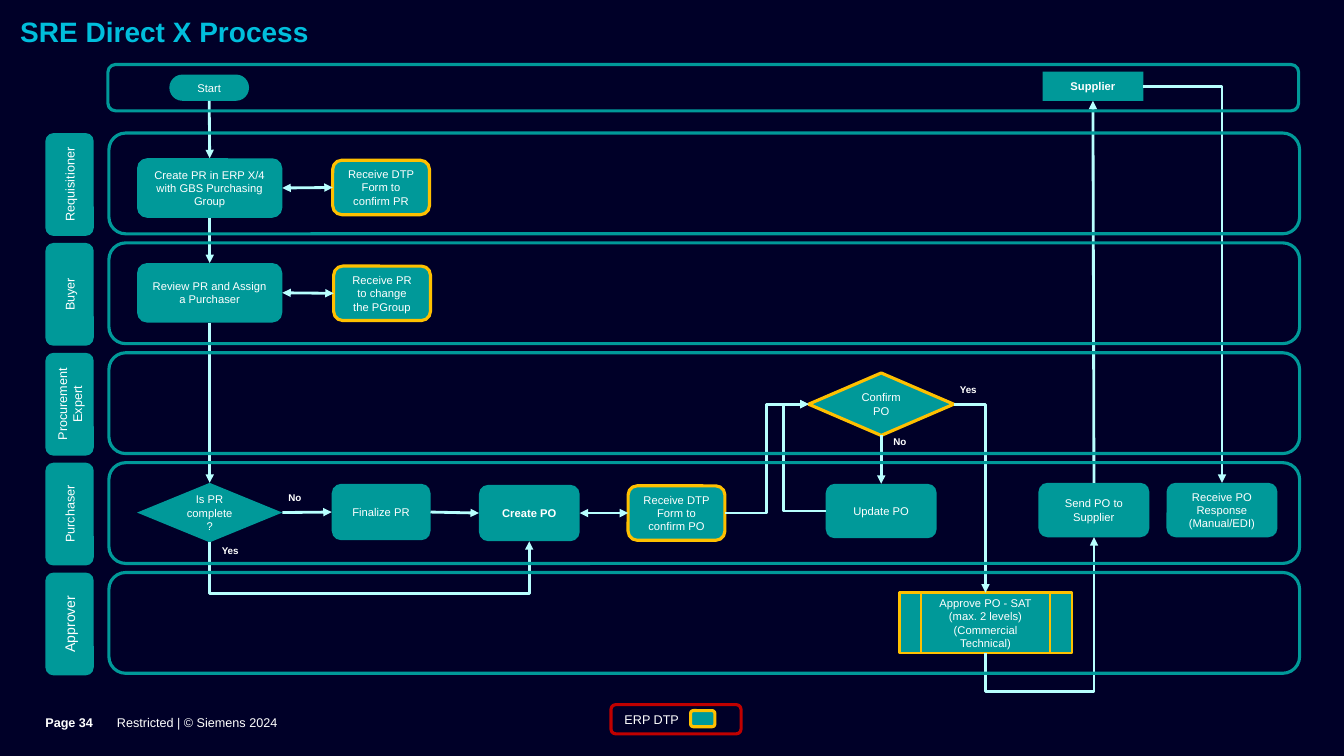
from dataclasses import dataclass
from typing import Optional

from lxml import etree
from pptx import Presentation
from pptx.dml.color import RGBColor
from pptx.enum.shapes import MSO_CONNECTOR, MSO_SHAPE
from pptx.enum.text import MSO_ANCHOR, PP_ALIGN
from pptx.oxml.ns import qn
from pptx.util import Inches, Pt

RECTANGLE = MSO_SHAPE.RECTANGLE
ROUNDED = MSO_SHAPE.ROUNDED_RECTANGLE
PROCESS = MSO_SHAPE.FLOWCHART_ALTERNATE_PROCESS
DECISION = MSO_SHAPE.FLOWCHART_DECISION
TERMINATOR = MSO_SHAPE.FLOWCHART_TERMINATOR
SUBPROCESS = MSO_SHAPE.FLOWCHART_PREDEFINED_PROCESS
STRAIGHT, ELBOW = MSO_CONNECTOR.STRAIGHT, MSO_CONNECTOR.ELBOW
TOP, LEFT, BOTTOM, RIGHT = range(4)
CENTER, ALIGN_LEFT = PP_ALIGN.CENTER, PP_ALIGN.LEFT
MIDDLE, ANCHOR_TOP = MSO_ANCHOR.MIDDLE, MSO_ANCHOR.TOP


@dataclass(frozen=True)
class Theme:
    font: str = "Arial"
    background: str = "000028"
    title: str = "00BEDC"
    text: str = "FFFFFF"
    teal: str = "009999"
    amber: str = "FFC000"
    red: str = "C00000"
    arrow: str = "B8FFFF"
    title_size: float = 20
    lane_size: float = 9
    approver_size: float = 10
    step_size: float = 8
    branch_size: float = 7
    outline: float = 2.25
    thin_outline: float = 1.75
    arrow_width: float = 2


THEME = Theme()


@dataclass(frozen=True)
class Box:
    left: float
    top: float
    width: float
    height: float
    text: str = ""
    kind: MSO_SHAPE = PROCESS
    fill: Optional[str] = THEME.teal
    line: Optional[str] = None
    line_width: float = THEME.outline
    size: float = THEME.step_size
    bold: bool = False
    align: PP_ALIGN = CENTER
    rotation: float = 0
    insets: tuple[float, ...] = (0.12, 0.08, 0.12, 0.08)


@dataclass(frozen=True)
class Label:
    left: float
    top: float
    width: float
    height: float
    text: str
    size: float
    bold: bool = True
    color: str = THEME.text
    insets: tuple[float, ...] = (0, 0, 0, 0)
    anchor: MSO_ANCHOR = ANCHOR_TOP
    wrap: bool = True
    line_spacing: Optional[float] = None


@dataclass(frozen=True)
class Flow:
    begin: str
    begin_side: int
    end: str
    end_side: int
    elbow: bool = False
    bend: Optional[float] = None  # where the middle leg runs; None gives one corner
    two_way: bool = False


# Steps; an amber outline marks those on the platform
STEPS = {
    "start": Box(1.68, 0.74, 0.79, 0.26, "Start", TERMINATOR),
    "supplier": Box(10.34, 0.71, 1, 0.29, "Supplier", RECTANGLE, bold=True),
    "create_pr": Box(1.36, 1.57, 1.44, 0.59, "Create PR in ERP X/4 with GBS Purchasing Group"),
    "confirm_pr": Box(3.3, 1.59, 0.96, 0.54, "Receive DTP Form to confirm PR", line=THEME.amber),
    "review_pr": Box(1.36, 2.61, 1.44, 0.59, "Review PR and Assign a Purchaser"),
    "change_group": Box(3.31, 2.64, 0.96, 0.54, "Receive PR to change the PGroup", line=THEME.amber),
    "pr_complete": Box(1.36, 4.79, 1.44, 0.59, "Is PR complete?", DECISION),
    "finalize_pr": Box(3.29, 4.8, 0.98, 0.56, "Finalize PR"),
    "create_po": Box(4.75, 4.81, 1, 0.56, "Create PO", bold=True),
    "po_form": Box(6.23, 4.82, 0.96, 0.54, "Receive DTP Form to confirm PO", line=THEME.amber),
    "confirm_po": Box(8.02, 3.7, 1.44, 0.62, "Confirm PO", DECISION, line=THEME.amber),
    "update_po": Box(8.19, 4.8, 1.1, 0.54, "Update PO"),
    "approve_po": Box(8.92, 5.88, 1.71, 0.6,
                      "Approve PO - SAT\n(max. 2 levels)\n(Commercial\nTechnical)", SUBPROCESS,
                      line=THEME.amber, line_width=THEME.thin_outline, insets=(0.1, 0.05, 0.1, 0.05)),
    "send_po": Box(10.3, 4.79, 1.1, 0.54, "Send PO to Supplier"),
    "response": Box(11.57, 4.79, 1.1, 0.54, "Receive PO Response\n(Manual/EDI)"),
}

FLOWS = [
    Flow("start", BOTTOM, "create_pr", TOP),
    Flow("create_pr", BOTTOM, "review_pr", TOP),
    Flow("review_pr", BOTTOM, "pr_complete", TOP),
    Flow("create_pr", RIGHT, "confirm_pr", LEFT, two_way=True),
    Flow("review_pr", RIGHT, "change_group", LEFT, two_way=True),
    Flow("pr_complete", RIGHT, "finalize_pr", LEFT),
    Flow("pr_complete", BOTTOM, "create_po", BOTTOM, True, 5.9),
    Flow("finalize_pr", RIGHT, "create_po", LEFT),
    Flow("create_po", RIGHT, "po_form", LEFT, two_way=True),
    Flow("po_form", RIGHT, "confirm_po", LEFT, True, 7.6),
    Flow("confirm_po", BOTTOM, "update_po", TOP),
    Flow("update_po", LEFT, "confirm_po", LEFT, True, 7.77),
    Flow("confirm_po", RIGHT, "approve_po", TOP, True),
    Flow("approve_po", BOTTOM, "send_po", BOTTOM, True, 6.86),
    Flow("send_po", TOP, "supplier", BOTTOM),
    Flow("supplier", RIGHT, "response", TOP, True),
]

LANES = ["Requisitioner", "Buyer", "Procurement Expert", "Purchaser", "Approver"]
LANE_TOP, LANE_PITCH, LANE_HEIGHT = 1.32, 1.09, 1.0
FOOTER_INSETS = (0, 0, 0, 0.07)

LABELS = [
    Label(0.2, 0.18, 10.79, 0.32, "SRE Direct X Process", THEME.title_size, color=THEME.title,
          insets=(0, 0, 0.35, 0.02), line_spacing=0.9),
    Label(0.45, 6.9, 0.71, 0.6, "Page 34", THEME.lane_size, insets=FOOTER_INSETS, anchor=MIDDLE),
    Label(1.16, 6.9, 1.78, 0.6, "Restricted | © Siemens 2024", THEME.lane_size, False,
          insets=FOOTER_INSETS, anchor=MIDDLE),
] + [
    Label(left, top, 0.17, 0.12, text, THEME.branch_size, wrap=False)
    for left, top, text in [(2.86, 4.88, "No"), (2.2, 5.4, "Yes"), (8.86, 4.32, "No"), (9.52, 3.81, "Yes")]
]


def write_text(shape, item: Box | Label, color: str, align: PP_ALIGN, anchor: MSO_ANCHOR, wrap: bool) -> None:
    frame = shape.text_frame
    frame.word_wrap, frame.vertical_anchor = wrap, anchor
    frame.margin_left, frame.margin_top, frame.margin_right, frame.margin_bottom = map(Inches, item.insets)
    for index, line in enumerate(item.text.split("\n")):
        paragraph = frame.add_paragraph() if index else frame.paragraphs[0]
        paragraph.alignment = align
        if isinstance(item, Label) and item.line_spacing:
            paragraph.line_spacing = item.line_spacing
        run = paragraph.add_run()
        run.text = line
        run.font.name, run.font.size, run.font.bold = THEME.font, Pt(item.size), item.bold
        run.font.color.rgb = RGBColor.from_string(color)


def draw_box(slide, box: Box):
    shape = slide.shapes.add_shape(box.kind, *map(Inches, (box.left, box.top, box.width, box.height)))
    shape.shadow.inherit = False
    shape.rotation = box.rotation
    for paint, color in ((shape.fill, box.fill), (shape.line.fill, box.line)):
        if color:
            paint.solid()
            paint.fore_color.rgb = RGBColor.from_string(color)
        else:
            paint.background()
    if box.line:
        shape.line.width = Pt(box.line_width)
    if box.text:
        write_text(shape, box, THEME.text, box.align, MIDDLE, True)
    return shape


def draw_label(slide, label: Label) -> None:
    shape = slide.shapes.add_textbox(*map(Inches, (label.left, label.top, label.width, label.height)))
    write_text(shape, label, label.color, ALIGN_LEFT, label.anchor, label.wrap)


def bend_connector(connector, flow: Flow) -> None:
    """Turn, flip and bend an elbow so that it leaves its first side squarely."""
    x, y = connector.begin_x, connector.begin_y
    dx, dy = connector.end_x - x, connector.end_y - y
    vertical = flow.begin_side in (TOP, BOTTOM)
    along, across = (dy, -dx) if vertical else (dx, dy)
    width, height = abs(along), abs(across)
    connector.left, connector.top = x + (dx - width) // 2, y + (dy - height) // 2
    connector.width, connector.height = width, height
    properties = connector.element.spPr
    transform, geometry = properties.find(qn("a:xfrm")), properties.find(qn("a:prstGeom"))
    transform.set("rot", "5400000" if vertical else "0")
    transform.set("flipH", str(int(along < 0)))
    transform.set("flipV", str(int(across < 0)))
    if flow.bend is None:
        geometry.set("prst", "bentConnector2")
    else:
        ratio = (Inches(flow.bend) - (y if vertical else x)) / along
        etree.SubElement(geometry.find(qn("a:avLst")), qn("a:gd"), name="adj1", fmla=f"val {round(ratio * 100000)}")


def draw_flow(slide, flow: Flow, shapes: dict) -> None:
    connector = slide.shapes.add_connector(ELBOW if flow.elbow else STRAIGHT, 0, 0, 0, 0)
    connector.begin_connect(shapes[flow.begin], flow.begin_side)
    connector.end_connect(shapes[flow.end], flow.end_side)
    if flow.elbow:
        bend_connector(connector, flow)
    connector.line.color.rgb = RGBColor.from_string(THEME.arrow)
    connector.line.width = Pt(THEME.arrow_width)
    properties = connector.element.spPr
    for tag in ["a:headEnd", "a:tailEnd"] if flow.two_way else ["a:tailEnd"]:
        etree.SubElement(properties.find(qn("a:ln")), qn(tag), type="triangle")
    etree.SubElement(properties, qn("a:effectLst"))


def draw_lanes(slide) -> None:
    frame = {"kind": ROUNDED, "fill": None, "line": THEME.teal}
    draw_box(slide, Box(1.07, 0.64, 11.81, 0.46, **frame))
    for index, name in enumerate(LANES):
        top = LANE_TOP + index * LANE_PITCH
        draw_box(slide, Box(1.08, top, 11.81, LANE_HEIGHT, **frame))
        size = THEME.approver_size if name == "Approver" else THEME.lane_size
        draw_box(slide, Box(0.18, top + 0.27, 1.02, 0.48, name, ROUNDED, size=size, rotation=270))


def main() -> None:
    presentation = Presentation()
    presentation.slide_width, presentation.slide_height = Inches(13.33), Inches(7.5)
    slide = presentation.slides.add_slide(presentation.slide_layouts[6])
    slide.background.fill.solid()
    slide.background.fill.fore_color.rgb = RGBColor.from_string(THEME.background)
    # Process steps, their flows and the swimlanes
    shapes = {name: draw_box(slide, box) for name, box in STEPS.items()}
    for flow in FLOWS:
        draw_flow(slide, flow, shapes)
    draw_lanes(slide)
    # Title, footer and branch labels
    for label in LABELS:
        draw_label(slide, label)
    # Legend
    draw_box(slide, Box(6.06, 6.99, 1.29, 0.29, "ERP DTP", ROUNDED, None, THEME.red,
                        size=THEME.lane_size, align=ALIGN_LEFT))
    draw_box(slide, Box(6.85, 7.05, 0.24, 0.16, kind=ROUNDED, line=THEME.amber))
    presentation.save("out.pptx")


if __name__ == "__main__":
    main()
